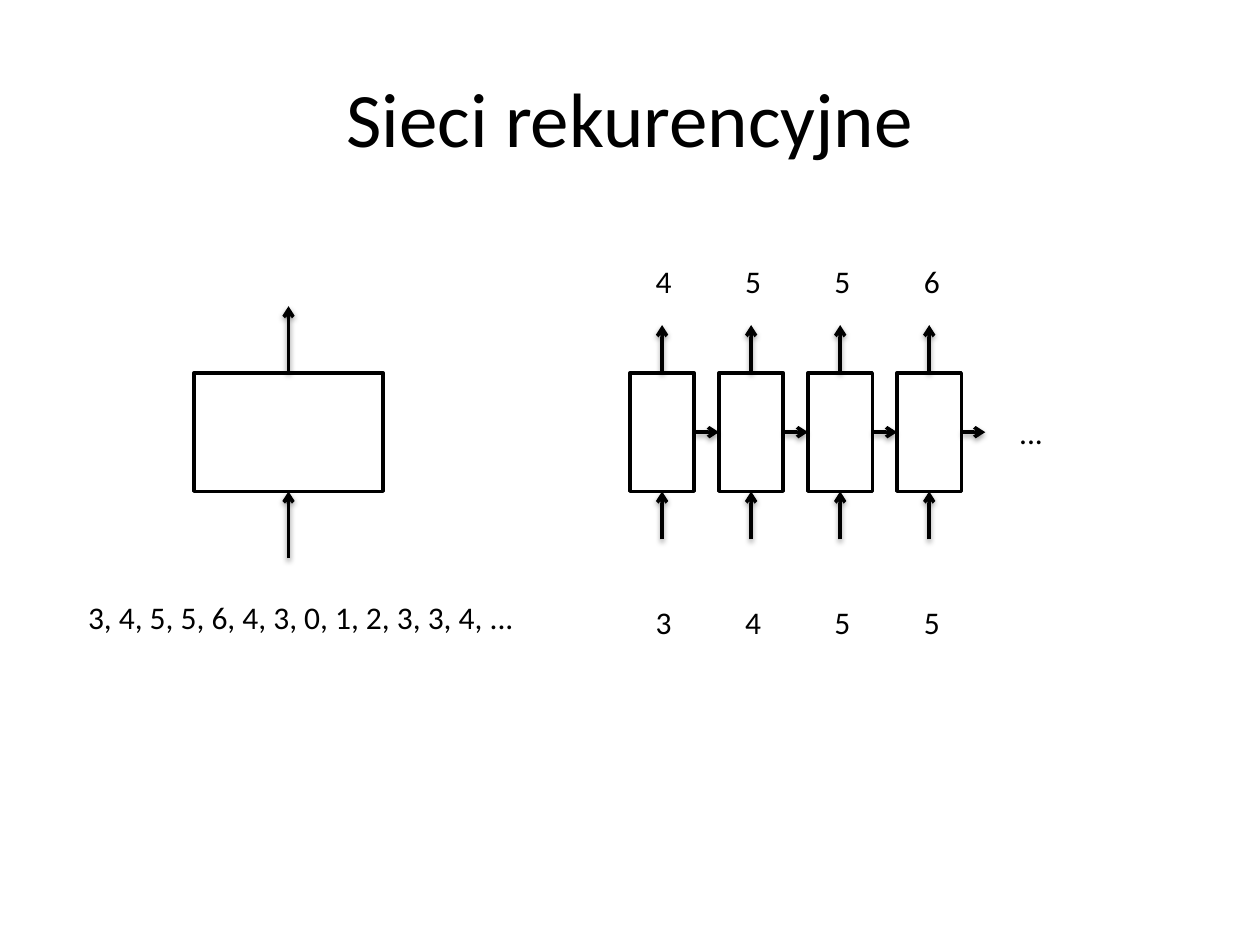
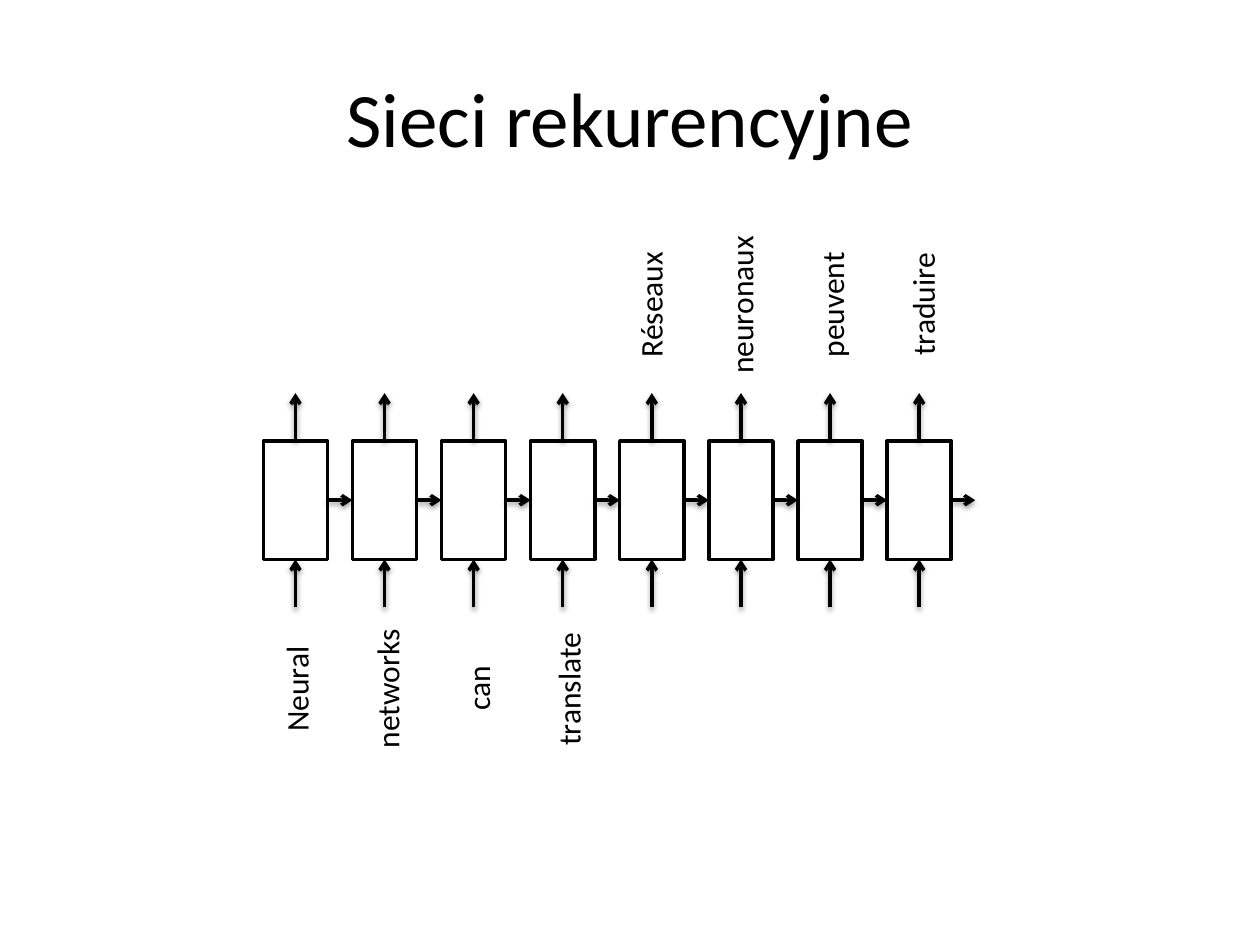
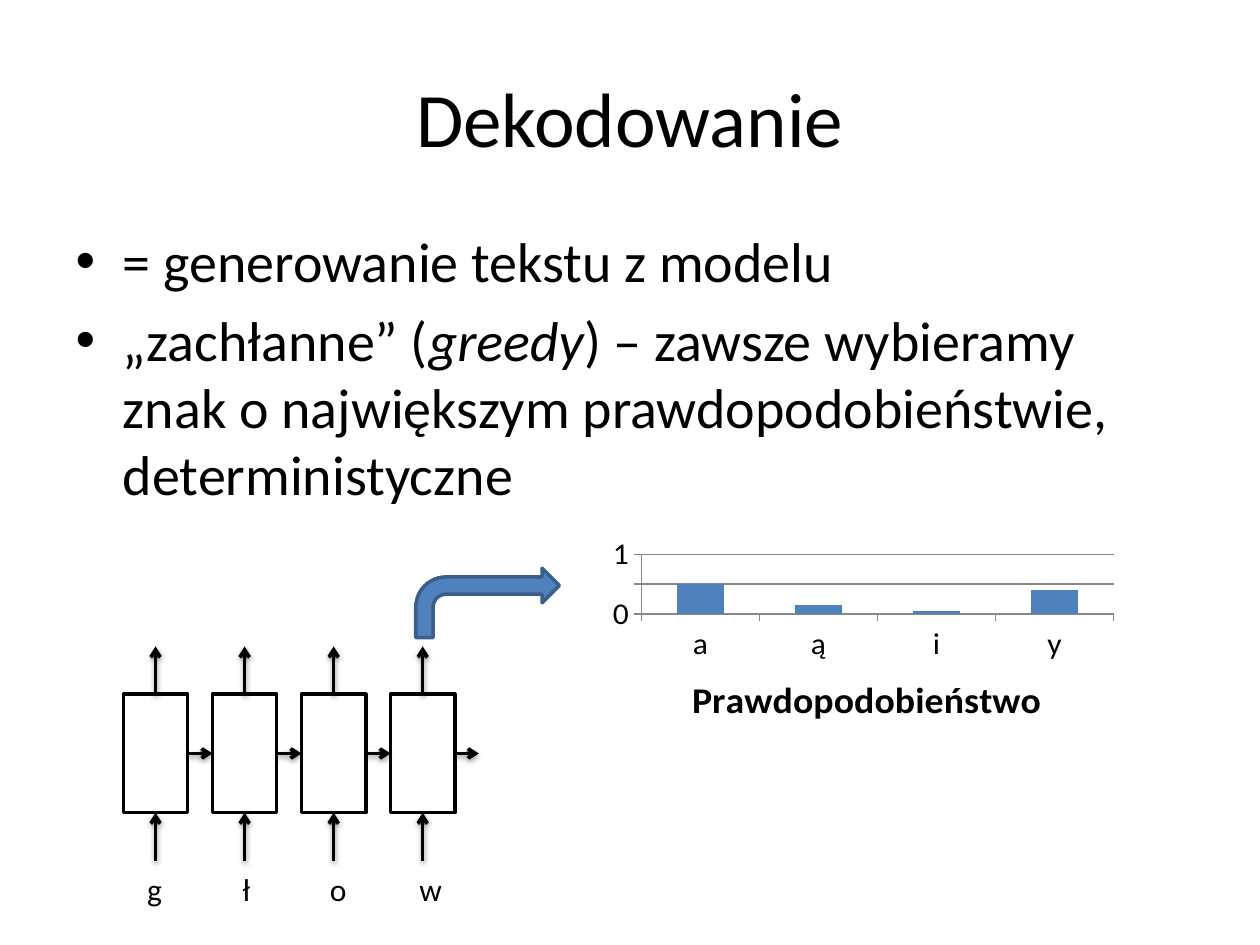
from dataclasses import dataclass

from lxml import etree
from pptx import Presentation
from pptx.chart.data import CategoryChartData
from pptx.dml.color import RGBColor
from pptx.enum.chart import XL_CHART_TYPE, XL_TICK_MARK
from pptx.enum.shapes import MSO_CONNECTOR, MSO_SHAPE
from pptx.enum.text import MSO_ANCHOR, MSO_AUTO_SIZE, PP_ALIGN
from pptx.oxml import parse_xml
from pptx.oxml.ns import nsdecls, qn
from pptx.util import Inches, Pt

COLUMN = XL_CHART_TYPE.COLUMN_CLUSTERED
OUTSIDE = XL_TICK_MARK.OUTSIDE
STRAIGHT = MSO_CONNECTOR.STRAIGHT
RECT = MSO_SHAPE.RECTANGLE
BENT = MSO_SHAPE.BENT_ARROW
MIDDLE = MSO_ANCHOR.MIDDLE
GROW = MSO_AUTO_SIZE.SHAPE_TO_FIT_TEXT
CENTER = PP_ALIGN.CENTER
TOP, LEFT, BOTTOM, RIGHT = range(4)


@dataclass(frozen=True)
class Theme:
    font: str = "Calibri"
    ink: RGBColor = RGBColor(0, 0, 0)
    paper: RGBColor = RGBColor(255, 255, 255)
    blue: RGBColor = RGBColor(0x4F, 0x81, 0xBD)
    edge: RGBColor = RGBColor(0x3A, 0x5F, 0x8C)
    grid: RGBColor = RGBColor(0x87, 0x87, 0x87)
    title: float = 44
    body: float = 32
    label: float = 18
    chart: float = 21.6
    line: float = 2


THEME = Theme()
CELL_W, CELL_H, STUB, HOP = 0.51, 0.94, 0.38, 0.19
LABEL_H = 0.4


def style(font, size, bold=False, italic=False):
    font.name = THEME.font
    font.size = Pt(size)
    font.color.rgb = THEME.ink
    font.bold = bold
    font.italic = italic


def place(shape, left, top, width, height):
    shape.left, shape.top = Inches(left), Inches(top)
    shape.width, shape.height = Inches(width), Inches(height)


def write(para, text, size=THEME.label, align=None, **marks):
    para.alignment = align
    run = para.add_run()
    run.text = text
    style(run.font, size, **marks)


def start(deck, title, layout=5):
    slide = deck.slides.add_slide(deck.slide_layouts[layout])
    head = slide.shapes.title
    place(head, 0.5, 0.3, 9, 1.25)
    head.text_frame.vertical_anchor = MIDDLE
    write(head.text_frame.paragraphs[0], title, size=THEME.title, align=CENTER)
    return slide


def label(slide, text, left, top, width, turn=0, wrap=False):
    box = slide.shapes.add_textbox(
        Inches(left), Inches(top), Inches(width), Inches(LABEL_H))
    box.rotation = turn
    frame = box.text_frame
    frame.word_wrap = wrap
    frame.auto_size = GROW
    write(frame.paragraphs[0], text)


def labels(slide, items, center, top, pitch, turn=0):
    for i, (text, width) in enumerate(items):
        label(slide, text, center + i * pitch - width / 2, top, width, turn)


def shape(slide, kind, left, top, width, height, fill, line):
    item = slide.shapes.add_shape(
        kind, Inches(left), Inches(top), Inches(width), Inches(height))
    item.shadow.inherit = False
    item.fill.solid()
    item.fill.fore_color.rgb = fill
    item.line.color.rgb = line
    item.line.width = Pt(THEME.line)
    return item


def arrow(slide, x1, y1, x2, y2, source=None, target=None):
    line = slide.shapes.add_connector(
        STRAIGHT, Inches(x1), Inches(y1), Inches(x2), Inches(y2))
    if source:
        line.begin_connect(*source)
    if target:
        line.end_connect(*target)
    line.line.color.rgb = THEME.ink
    line.line.width = Pt(THEME.line)
    etree.SubElement(line.line._get_or_add_ln(), qn("a:tailEnd"), type="arrow")
    line._element.spPr.append(parse_xml(
        f'<a:effectLst {nsdecls("a")}>'
        f'<a:outerShdw blurRad="{Pt(3.1)}" dist="{Pt(1.6)}" dir="5400000" '
        'rotWithShape="0"><a:srgbClr val="000000"><a:alpha val="38000"/>'
        '</a:srgbClr></a:outerShdw></a:effectLst>'))


def block(slide, left, top, width=CELL_W, stub=STUB):
    cell = shape(slide, RECT, left, top, width, CELL_H, THEME.paper, THEME.ink)
    mid, base = left + width / 2, top + CELL_H
    arrow(slide, mid, top, mid, top - stub, source=(cell, TOP))
    arrow(slide, mid, base + stub, mid, base, target=(cell, BOTTOM))
    return cell


def chain(slide, first, last, top, count):
    pitch = (last - first) / (count - 1)
    cells = [block(slide, first + i * pitch, top) for i in range(count)]
    mid = top + CELL_H / 2
    for i, cell in enumerate(cells):
        right = first + i * pitch + CELL_W
        after = (cells[i + 1], LEFT) if i + 1 < count else None
        arrow(slide, right, mid, right + HOP, mid, (cell, RIGHT), after)


def fix(parent, left, top, width=None, height=None):
    for old in parent.findall(qn("c:layout")):
        parent.remove(old)
    marks = [("xMode", "edge"), ("yMode", "edge"), ("x", left), ("y", top)]
    if width:
        marks.insert(0, ("layoutTarget", "inner"))
        marks += [("w", width), ("h", height)]
    inner = "".join(f'<c:{name} val="{val}"/>' for name, val in marks)
    return parse_xml(f'<c:layout {nsdecls("c")}><c:manualLayout>{inner}'
                     '</c:manualLayout></c:layout>')


def columns(slide, name, cats, vals, left, top, width, height):
    data = CategoryChartData()
    data.categories = cats
    data.add_series(name, vals)
    chart = slide.shapes.add_chart(
        COLUMN, Inches(left), Inches(top), Inches(width), Inches(height),
        data).chart
    style(chart.font, THEME.label)
    chart.has_legend = False
    chart.has_title = True
    write(chart.chart_title.text_frame.paragraphs[0], name,
          size=THEME.chart, bold=True)
    head = chart.chart_title._element
    head.find(qn("c:tx")).addnext(fix(head, 0.19, 0.73))
    area = chart._chartSpace.chart.plotArea
    area.insert(0, fix(area, 0.11, 0.2, 0.86, 0.28))
    plot = chart.plots[0]
    plot.gap_width = 150
    plot.vary_by_categories = False
    fill = plot.series[0].format.fill
    fill.solid()
    fill.fore_color.rgb = THEME.blue
    axis = chart.value_axis
    axis.minimum_scale, axis.maximum_scale, axis.major_unit = 0, 1, 0.5
    axis.has_major_gridlines = True
    axis.major_gridlines.format.line.color.rgb = THEME.grid
    for item in (axis, chart.category_axis):
        item.major_tick_mark = OUTSIDE
        item.format.line.color.rgb = THEME.grid


def series(deck):
    slide = start(deck, "Sieci rekurencyjne")
    block(slide, 1.54, 2.96, width=1.5, stub=0.53)
    label(slide, "3, 4, 5, 5, 6, 4, 3, 0, 1, 2, 3, 3, 4, ...", 0.6, 4.7, 3.78,
          wrap=True)
    chain(slide, 5, 7.12, 2.96, 4)
    for digits, top in (("3455", 4.74), ("4556", 2.03)):
        labels(slide, [(digit, 0.33) for digit in digits], 5.27, top, 0.71)
    label(slide, "...", 7.99, 3.23, 0.94, wrap=True)


def words(deck):
    slide = start(deck, "Sieci rekurencyjne")
    chain(slide, 2.09, 7.04, 3.5, 8)
    source = [("Neural", 0.89), ("networks", 1.15), ("can", 0.56),
              ("translate", 1.11)]
    target = [("Réseaux", 1.05), ("neuronaux", 1.31), ("peuvent", 1.05),
              ("traduire", 1.02)]
    labels(slide, source, 2.35, 5.26, 0.72, turn=270)
    labels(slide, target, 5.16, 2.21, 0.72, turn=270)


def decode(deck):
    slide = start(deck, "Dekodowanie", layout=1)
    body = slide.placeholders[1]
    place(body, 0.5, 1.75, 9, 4.95)
    first = body.text_frame.paragraphs[0]
    write(first, "= generowanie tekstu z modelu", size=THEME.body)
    second = body.text_frame.add_paragraph()
    write(second, "„zachłanne” (", size=THEME.body)
    write(second, "greedy", size=THEME.body, italic=True)
    write(second, ") – zawsze wybieramy znak o największym "
          "prawdopodobieństwie, deterministyczne", size=THEME.body)
    chain(slide, 0.98, 3.1, 5.51, 4)
    signs = [("g", 0.32), ("ł", 0.27), ("o", 0.34), ("w", 0.38)]
    labels(slide, signs, 1.23, 6.86, 0.73)
    shape(slide, BENT, 3.3, 4.51, 1.14, 0.55, THEME.blue, THEME.edge)
    columns(slide, "Prawdopodobieństwo", ["a", "ą", "i", "y"],
            [0.5, 0.15, 0.05, 0.4], 4.61, 4.06, 4.36, 1.77)


def main():
    deck = Presentation()
    deck.slide_width, deck.slide_height = Inches(10), Inches(7.5)
    series(deck)
    words(deck)
    decode(deck)
    deck.save("out.pptx")


if __name__ == "__main__":
    main()
